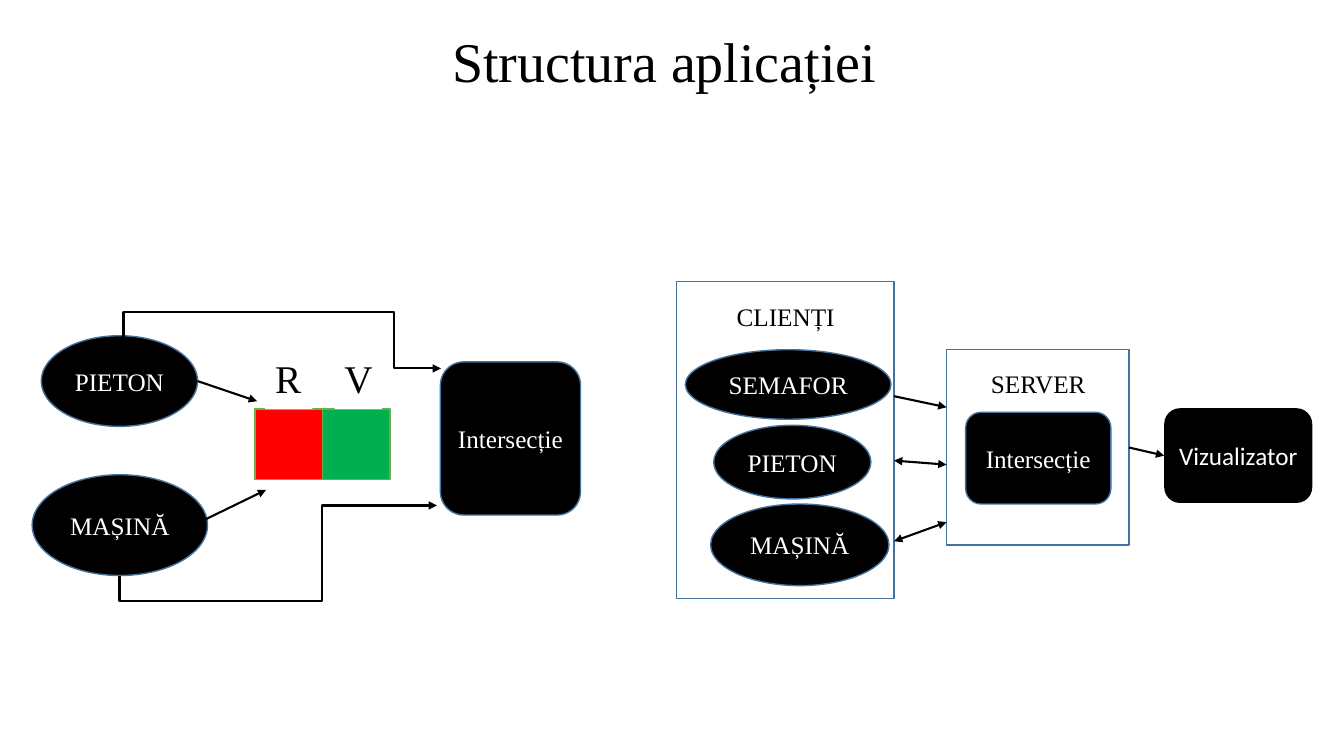
import pptx
import pptx.util
import pptx.dml.color
import pptx.enum.shapes
import pptx.enum.text
import pptx.oxml.ns
from lxml import etree

Pt = pptx.util.Pt
SHAPES = pptx.enum.shapes.MSO_SHAPE
CONNECTORS = pptx.enum.shapes.MSO_CONNECTOR
ALIGN = pptx.enum.text.PP_ALIGN
ANCHOR = pptx.enum.text.MSO_ANCHOR
qn = pptx.oxml.ns.qn

# Content: all boxes are (left, top, width, height) in points
SERIF, SANS = "Times New Roman", "Calibri"
BLACK, WHITE, BLUE, LIME = "000000", "FFFFFF", "43739E", "70AD47"
OVAL, ROUND, RECT = SHAPES.OVAL, SHAPES.ROUNDED_RECTANGLE, SHAPES.RECTANGLE

TITLE = ("Structura aplicației", (65.5, 16.6, 817.9, 59))

# Text, shape, box, outline, font
NODES = [
    ("PIETON", OVAL, (29.5, 239.8, 111.6, 64.8), BLUE, SERIF),
    ("MAȘINĂ", OVAL, (23, 339.1, 125.3, 72), BLUE, SERIF),
    ("Intersecție", ROUND, (314.6, 258.5, 100.1, 109.4), BLUE, SERIF),
    ("Intersecție", ROUND, (689.8, 294.5, 103.7, 65.5), BLUE, SERIF),
    ("PIETON", OVAL, (509.8, 303.8, 112.3, 52.6), BLUE, SERIF),
    ("MAȘINĂ", OVAL, (507.6, 360, 127.4, 58.3), BLUE, SERIF),
    ("SEMAFOR", OVAL, (489.6, 249.8, 146.9, 49.7), BLUE, SERIF),
    ("Vizualizator", ROUND, (831.6, 291.6, 105.8, 67.7), None, SANS),
]

# Traffic light: letter, letter left, lamp colour
LAMPS = [("R", 189.4, "FF0000"), ("V", 239, "00B050")]
LAMP_LEFT, LAMP_TOP, LAMP_WIDTH, LAMP_HEIGHT = 182.2, 292.3, 48.2, 50.4
LETTER_TOP, LETTER_WIDTH, LETTER_HEIGHT = 249.8, 33.8, 42.5

# Heading, frame box, heading box
FRAMES = [
    ("CLIENȚI", (483.1, 200.9, 155.5, 226.8), (498.2, 211.7, 126, 24.5)),
    ("SERVER", (676.1, 249.8, 130.3, 139.7), (689.8, 259.9, 103.7, 24.5)),
]

# Start, end, arrowhead at both ends
CLIENTS_RIGHT, SERVER_LEFT = 638.6, 676.1
ARROWS = [
    ((141.1, 272.2), (183.6, 286.6), False),
    ((111.6, 388.1), (190.1, 349.9), False),
    ((CLIENTS_RIGHT, 283), (SERVER_LEFT, 290.9), False),
    ((SERVER_LEFT, 331.9), (CLIENTS_RIGHT, 329), True),
    ((SERVER_LEFT, 373), (CLIENTS_RIGHT, 386.6), True),
]

# Box before rotation, degrees, flips, bend positions
ELBOWS = [
    ((190.8, 139, 21.6, 226.8), 270, ("flipH",), (-87700, 85200)),
    ((173.5, 272.9, 50.4, 226.8), 90, ("flipH", "flipV"), (-35600, 63900)),
]


def rgb(hex_colour):
    return pptx.dml.color.RGBColor.from_string(hex_colour)


def write(shape, text, size, colour, font=SERIF, align=ALIGN.CENTER,
          anchor=ANCHOR.TOP):
    frame = shape.text_frame
    frame.word_wrap = True
    frame.vertical_anchor = anchor
    frame.text = text
    paragraph = frame.paragraphs[0]
    paragraph.alignment = align
    paragraph.font.size = Pt(size)
    paragraph.font.name = font
    paragraph.font.color.rgb = rgb(colour)
    return paragraph


def add_box(kind, box, fill=None, outline=None):
    shape = slide.shapes.add_shape(kind, *map(Pt, box))
    shape.shadow.inherit = False
    if fill:
        shape.fill.solid()
        shape.fill.fore_color.rgb = rgb(fill)
    else:
        shape.fill.background()
    if outline:
        shape.line.color.rgb = rgb(outline)
        shape.line.width = Pt(1)
    else:
        shape.line.fill.background()
    return shape


def add_label(text, box):
    label = slide.shapes.add_textbox(*map(Pt, box))
    return label, text


def add_arrow(kind, start, end, both=False):
    arrow = slide.shapes.add_connector(kind, *map(Pt, (*start, *end)))
    arrow.line.color.rgb = rgb(BLACK)
    arrow.line.width = Pt(1.5)
    line = arrow.line._get_or_add_ln()
    for tag in ("a:headEnd", "a:tailEnd") if both else ("a:tailEnd",):
        etree.SubElement(line, qn(tag), type="triangle")
    etree.SubElement(arrow._element.spPr, qn("a:effectLst"))
    return arrow


presentation = pptx.Presentation()
presentation.slide_width, presentation.slide_height = Pt(960), Pt(540)
slide = presentation.slides.add_slide(presentation.slide_layouts[6])

# Title
title_text, title_box = TITLE
title = slide.shapes.add_textbox(*map(Pt, title_box))
write(title, title_text, 40, BLACK, anchor=ANCHOR.MIDDLE).line_spacing = 0.9

# Frames and their headings
frames = {}
for heading, frame_box, heading_box in FRAMES:
    frames[heading] = add_box(RECT, frame_box, outline=BLUE)
    write(slide.shapes.add_textbox(*map(Pt, heading_box)), heading, 18, BLACK)

# Traffic light, with the letters in front of the lamps
for column, (letter, letter_left, colour) in enumerate(LAMPS):
    lamp_left = LAMP_LEFT + column * LAMP_WIDTH
    add_box(RECT, (lamp_left, LAMP_TOP, LAMP_WIDTH, LAMP_HEIGHT), colour, LIME)
for letter, letter_left, colour in LAMPS:
    letter_box = (letter_left, LETTER_TOP, LETTER_WIDTH, LETTER_HEIGHT)
    write(add_box(RECT, letter_box, WHITE), letter, 28, BLACK, align=ALIGN.LEFT)

# Nodes
nodes = {}
for text, kind, box, outline, font in NODES:
    node = nodes[text] = add_box(kind, box, BLACK, outline)
    write(node, text, 18, WHITE, font, anchor=ANCHOR.MIDDLE)
    node.text_frame.margin_left = node.text_frame.margin_right = 0

# Straight arrows
for start, end, both in ARROWS:
    add_arrow(CONNECTORS.STRAIGHT, start, end, both)
to_viewer = add_arrow(CONNECTORS.STRAIGHT, (806.4, 319.7), (831.6, 325.4))
to_viewer.begin_connect(frames["SERVER"], 3)
to_viewer.end_connect(nodes["Vizualizator"], 1)

# Elbow arrows with three bends
for (left, top, width, height), degrees, flips, bends in ELBOWS:
    elbow = add_arrow(CONNECTORS.ELBOW, (left, top), (left + width, top + height))
    properties = elbow._element.spPr
    transform = properties.find(qn("a:xfrm"))
    transform.set("rot", str(degrees * 60000))
    for flip in flips:
        transform.set(flip, "1")
    geometry = properties.find(qn("a:prstGeom"))
    geometry.set("prst", "bentConnector4")
    adjustments = geometry.find(qn("a:avLst"))
    for number, bend in enumerate(bends, 1):
        etree.SubElement(adjustments, qn("a:gd"), name=f"adj{number}",
                         fmla=f"val {bend}")

presentation.save("out.pptx")
